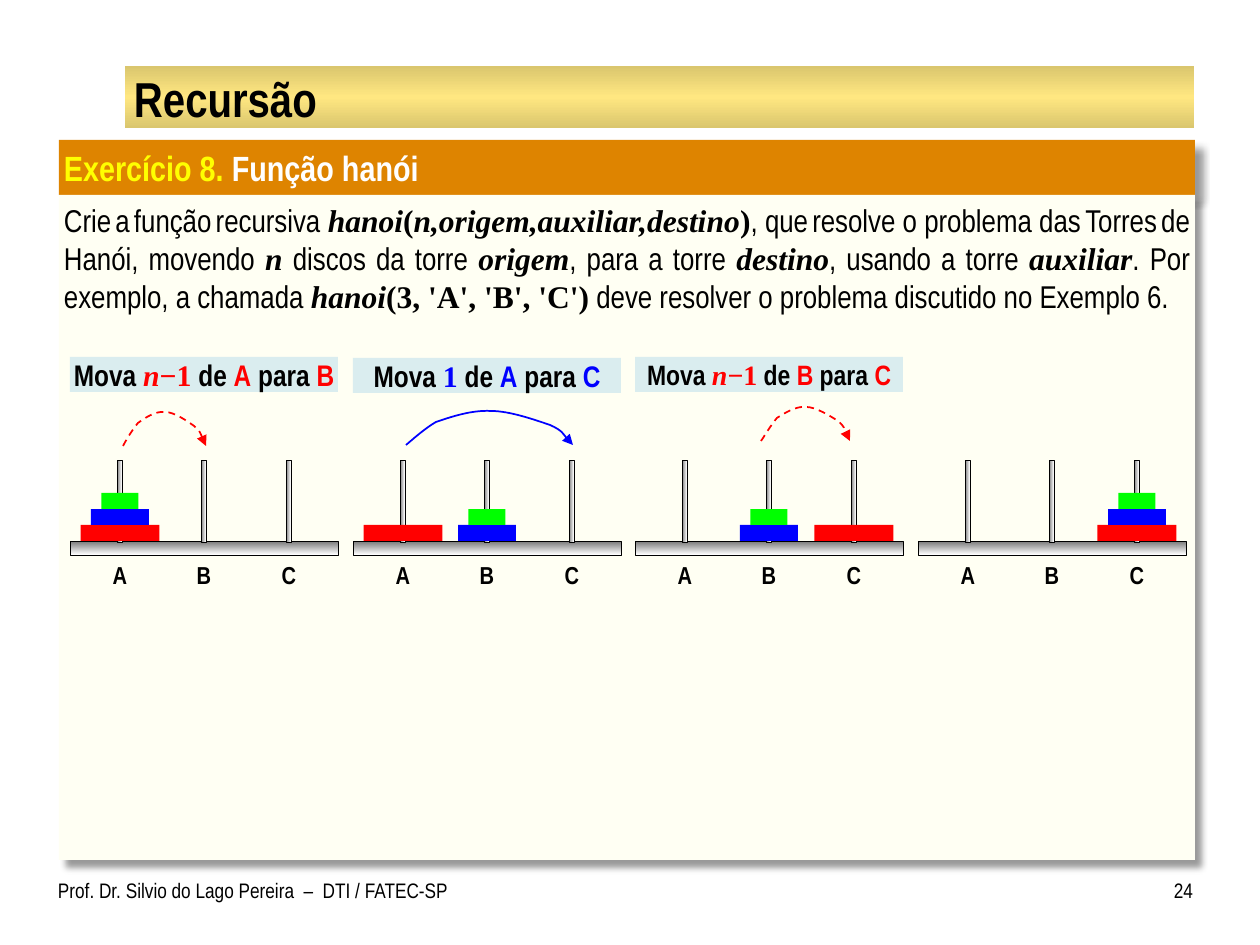
import copy
from dataclasses import dataclass
from functools import partial

import lxml.etree
import pptx
import pptx.dml.color
import pptx.enum.dml
import pptx.enum.shapes
import pptx.enum.text
import pptx.oxml
import pptx.oxml.ns
import pptx.util

EMU_PER_PX = 914400 / 126
COLORS = {
    "black": "000000", "white": "FFFFFF", "yellow": "FFFF00", "orange": "DE8400",
    "cream": "FFFFF3", "gold": "DAC66E", "light gold": "FFE781", "grey": "767676",
    "green": "00FF00", "blue": "0000FF", "red": "FF0000", "sky": "DAEDEF",
}
NARROW, SERIF = "Arial Narrow", "Times New Roman"
PEG_CENTERS = {"A": 50, "B": 134, "C": 219}
DISC_WIDTHS = {"red": 79, "blue": 58, "green": 37}
DISC_HEIGHT, BASE_TOP, BASE_WIDTH = 16, 541, 268
ARC_HEIGHT = 35
ARC_POINTS = [
    (0, 35), (0.03, 31), (0.11, 19), (0.18, 12), (0.27, 7), (0.39, 0), (0.51, 1),
    (0.62, 1), (0.77, 10), (0.86, 15), (0.94, 21), (0.97, 31), (1, 35),
]
ALIGN = pptx.enum.text.PP_ALIGN
ANCHOR = pptx.enum.text.MSO_ANCHOR
qn = pptx.oxml.ns.qn


@dataclass(frozen=True)
class Run:
    text: str
    size: int
    font: str = NARROW
    color: str = "black"
    bold: bool = False
    italic: bool = False


@dataclass(frozen=True)
class Move:
    caption: tuple[Run, ...]
    caption_top: int
    arc: tuple[int, int, int]
    color: str
    dashed: bool


@dataclass(frozen=True)
class Stage:
    towers: dict[str, tuple[str, ...]]
    move: Move | None = None


def px(length: float) -> int:
    return round(length * EMU_PER_PX)


def rgb(name: str):
    return pptx.dml.color.RGBColor.from_string(COLORS[name])


def write(shape, runs, align=ALIGN.LEFT, anchor=ANCHOR.TOP, insets=(0, 0, 0, 0),
          wrap=True, before=0) -> None:
    frame = shape.text_frame
    frame.word_wrap = wrap
    frame.vertical_anchor = anchor
    (frame.margin_left, frame.margin_top,
     frame.margin_right, frame.margin_bottom) = map(px, insets)
    paragraph = frame.paragraphs[0]
    paragraph.alignment = align
    paragraph.space_before = pptx.util.Pt(before)
    for part in runs:
        run = paragraph.add_run()
        run.text = part.text
        run.font.size = pptx.util.Pt(part.size)
        run.font.name = part.font
        run.font.bold = part.bold
        run.font.italic = part.italic
        run.font.color.rgb = rgb(part.color)


def draw_text(slide, box, runs, **layout) -> None:
    write(slide.shapes.add_textbox(*map(px, box)), runs, **layout)


def draw_rect(slide, box, color: str | None = None):
    rect = slide.shapes.add_shape(pptx.enum.shapes.MSO_SHAPE.RECTANGLE, *map(px, box))
    rect.shadow.inherit = False
    rect.line.fill.background()
    if color:
        rect.fill.solid()
        rect.fill.fore_color.rgb = rgb(color)
    return rect


def draw_gradient(slide, box, colors: list[str], angle: int, outlined: bool = False) -> None:
    rect = draw_rect(slide, box)
    rect.fill.gradient()
    rect.fill.gradient_angle = angle
    stop_list = rect._element.spPr.find(qn("a:gradFill")).find(qn("a:gsLst"))
    for _ in colors[2:]:
        stop_list.append(copy.deepcopy(stop_list[0]))
    for index, (stop, color) in enumerate(zip(rect.fill.gradient_stops, colors)):
        stop.position = index / (len(colors) - 1)
        stop.color.rgb = rgb(color)
    if outlined:
        rect.line.color.rgb = rgb("black")
        rect.line.width = pptx.util.Pt(0.25)


def cast_shadow(shape) -> None:
    effects = shape._element.spPr.find(qn("a:effectLst"))
    effects.append(pptx.oxml.parse_xml(
        f'<a:outerShdw xmlns:a="{pptx.oxml.ns.nsuri("a")}" blurRad="50800" dist="76200"'
        ' dir="2700000" algn="tl" rotWithShape="0"><a:srgbClr val="000000">'
        '<a:alpha val="40000"/></a:srgbClr></a:outerShdw>'))


def draw_arc(slide, left: int, top: int, width: int, color: str, dashed: bool) -> None:
    points = [(left + x * width, top + y) for x, y in ARC_POINTS]
    builder = slide.shapes.build_freeform(*points[0], scale=EMU_PER_PX)
    builder.add_line_segments(points[1:], close=False)
    arc = builder.convert_to_shape()
    outline = next(arc._element.iter(qn("a:path")))
    segments = outline.findall(qn("a:lnTo"))
    for first in range(0, len(segments), 3):
        curve = lxml.etree.SubElement(outline, qn("a:cubicBezTo"))
        for segment in segments[first:first + 3]:
            curve.append(segment[0])
            outline.remove(segment)
    arc.shadow.inherit = False
    arc.fill.background()
    arc.line.color.rgb = rgb(color)
    arc.line.width = pptx.util.Pt(1)
    if dashed:
        arc.line.dash_style = pptx.enum.dml.MSO_LINE.DASH
    lxml.etree.SubElement(arc.line._get_or_add_ln(), qn("a:tailEnd"), type="triangle")


def draw_stage(slide, left: int, stage: Stage) -> None:
    draw_gradient(slide, (left, BASE_TOP, BASE_WIDTH, 14), ["grey", "white"], 270, True)
    for label, offset in PEG_CENTERS.items():
        center = left + offset
        draw_gradient(slide, (center - 3, 460, 5, 82), ["grey", "white"], 0, True)
        draw_text(slide, (center - 11, 558, 22, 33), [Run(label, 14, bold=True)],
                  align=ALIGN.CENTER, anchor=ANCHOR.MIDDLE, wrap=False)
        for level, disc in enumerate(stage.towers.get(label, ()), start=1):
            width = DISC_WIDTHS[disc]
            draw_rect(slide, (center - width / 2, BASE_TOP - level * DISC_HEIGHT,
                              width, DISC_HEIGHT), disc)
    if stage.move:
        move = stage.move
        caption = draw_rect(slide, (left, move.caption_top, BASE_WIDTH, 35), "sky")
        write(caption, move.caption, align=ALIGN.CENTER, anchor=ANCHOR.MIDDLE, wrap=False)
        draw_arc(slide, *move.arc, move.color, move.dashed)


def move_caption(size: int, color: str, count: str, source: str, target: str):
    word = partial(Run, size=size, bold=True)
    variable = [word("n", font=SERIF, color=color, italic=True)] if count != "1" else []
    return (word("Mova "), *variable, word(count, font=SERIF, color=color), word(" de "),
            word(source, color=color), word(" para "), word(target, color=color))


def main() -> None:
    deck = pptx.Presentation()
    deck.slide_width, deck.slide_height = px(1260), px(945)
    slide = deck.slides.add_slide(deck.slide_layouts[6])

    draw_gradient(slide, (125, 66, 1069, 62), ["gold", "light gold", "gold"], 270)
    draw_text(slide, (126, 68, 1067, 59), [Run("Recursão", 28, bold=True)],
              anchor=ANCHOR.MIDDLE, insets=(8, 1, 8, 1))
    heading = draw_rect(slide, (59, 140, 1136, 55), "orange")
    cast_shadow(heading)
    write(heading, [Run("Exercício 8.", 20, color="yellow", bold=True),
                    Run(" Função hanói", 20, color="white", bold=True)],
          anchor=ANCHOR.MIDDLE, insets=(5, 6, 5, 6))

    plain = partial(Run, size=18)
    symbol = partial(Run, size=18, font=SERIF, bold=True)
    term = partial(symbol, italic=True)
    gap = Run(" ", 10)
    exercise = draw_rect(slide, (59, 195, 1136, 665), "cream")
    cast_shadow(exercise)
    write(exercise, [
        plain("Crie"), gap, plain("a"), gap, plain("função"), gap, plain("recursiva "),
        term("hanoi"), symbol("("), term("n,origem,auxiliar,destino"), symbol(")"),
        plain(", que"), gap, plain("resolve o problema das"), gap, plain("Torres"), gap,
        plain("de"), gap, plain("Hanói, movendo "), term("n"), plain(" discos da torre "),
        term("origem"), plain(", para a torre "), term("destino"),
        plain(", usando a torre "), term("auxiliar"), plain(". Por exemplo, a chamada "),
        term("hanoi"), symbol("(3, 'A', 'B', 'C')"),
        plain(" deve resolver o problema discutido no Exemplo 6."),
    ], align=ALIGN.JUSTIFY, insets=(5, 6, 5, 6), before=3)

    stages = [
        Stage({"A": ("red", "blue", "green")},
              Move(move_caption(17, "red", "−1", "A", "B"), 357, (123, 411, 83), "red", True)),
        Stage({"A": ("red",), "B": ("blue", "green")},
              Move(move_caption(17, "blue", "1", "A", "C"), 358, (406, 410, 167), "blue", False)),
        Stage({"B": ("blue", "green"), "C": ("red",)},
              Move(move_caption(16, "red", "−1", "B", "C"), 357, (761, 406, 89), "red", True)),
        Stage({"C": ("red", "blue", "green")}),
    ]
    for index, stage in enumerate(stages):
        draw_stage(slide, 70 + round(index * 848 / 3), stage)

    draw_text(slide, (58, 872, 412, 53),
              [Run("Prof. Dr. Silvio do Lago Pereira  –  DTI / FATEC-SP", 12)],
              insets=(0, 6, 13, 6))
    draw_text(slide, (1144, 872, 49, 53), [Run("24", 12)],
              align=ALIGN.RIGHT, insets=(13, 6, 0, 6))
    deck.save("out.pptx")


if __name__ == "__main__":
    main()
